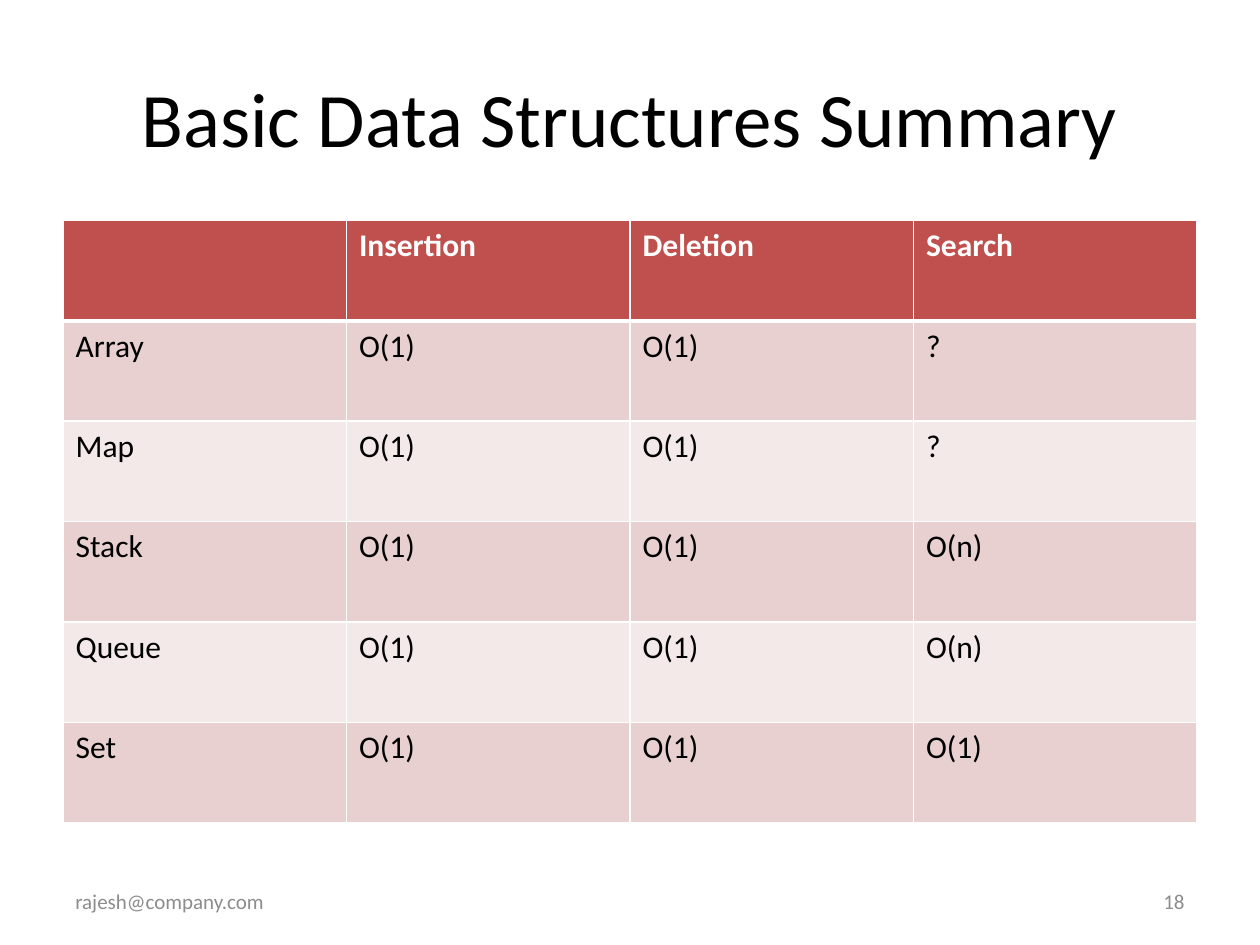
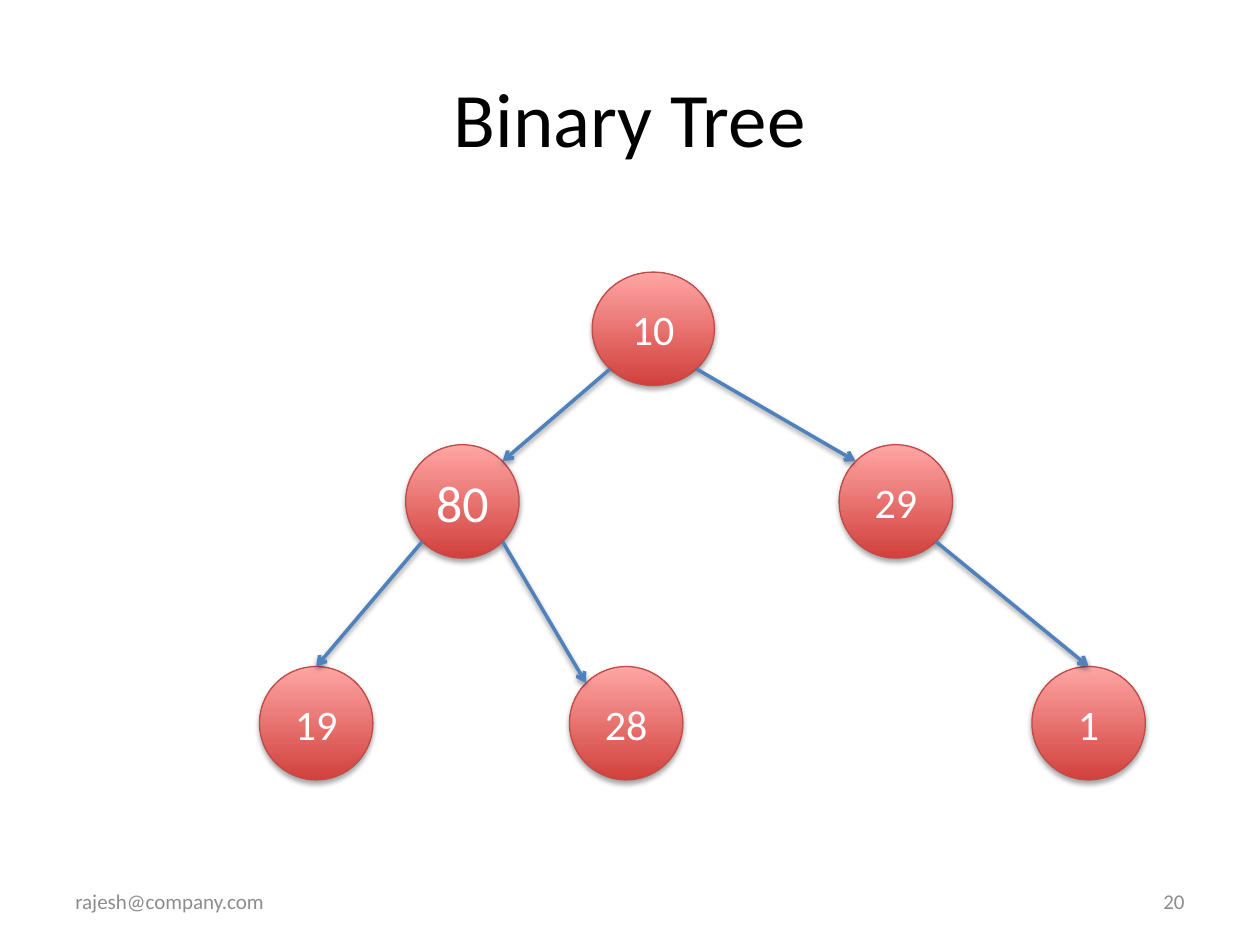
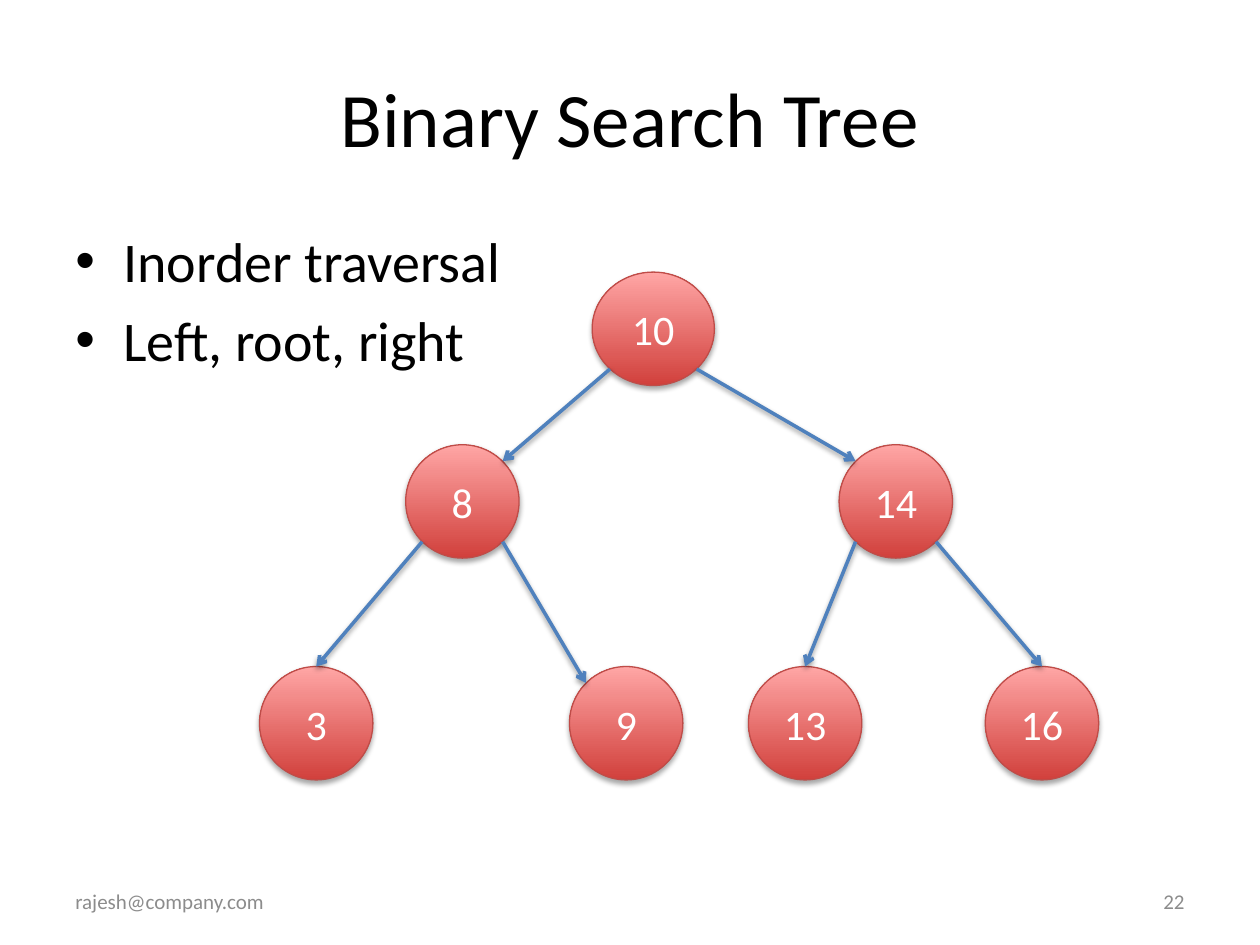
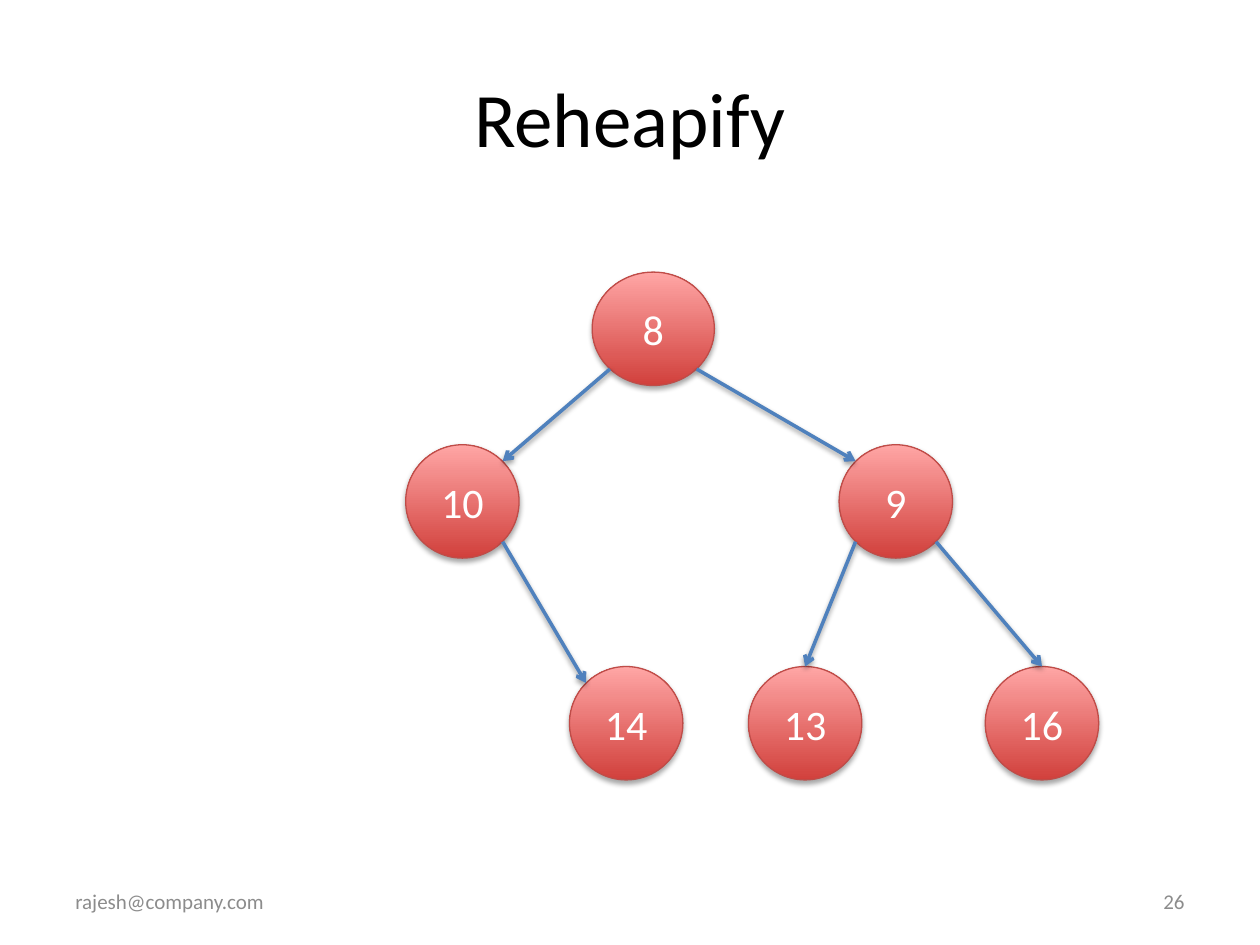
from lxml import etree
from pptx import Presentation
from pptx import util as u
from pptx.dml import color
from pptx.enum import shapes, text
from pptx.oxml import ns

# Shared look
FONT = "Calibri"
BLACK, WHITE, GREY = "000000", "FFFFFF", "8C8C8C"
HEADER_RED, BAND_DARK, BAND_LIGHT = "C0504D", "E8D0D0", "F4E9E9"
NODE_DARK, NODE_LIGHT, NODE_EDGE = "D1403C", "FFA6A5", "BF4C48"
ARROW_BLUE = "4F81BD"
EMAIL = "rajesh@company.com"
LEFT, CENTER, RIGHT = (text.PP_ALIGN.LEFT, text.PP_ALIGN.CENTER,
                       text.PP_ALIGN.RIGHT)

# Table content
COMPLEXITY = [
    ["", "Insertion", "Deletion", "Search"],
    ["Array", "O(1)", "O(1)", "?"],
    ["Map", "O(1)", "O(1)", "?"],
    ["Stack", "O(1)", "O(1)", "O(n)"],
    ["Queue", "O(1)", "O(1)", "O(n)"],
    ["Set", "O(1)", "O(1)", "O(1)"],
]

# Tree positions: left, top, width of each node
NODE_HEIGHT = 0.9
SPOTS = {
    "root": (4.7, 2.16, 0.97),
    "left": (3.22, 3.53, 0.9),
    "right": (6.66, 3.53, 0.9),
    "left-left": (2.06, 5.29, 0.9),
    "left-right": (4.52, 5.29, 0.9),
    "right-left": (5.94, 5.29, 0.9),
    "right-right": (7.82, 5.29, 0.9),
    "far right": (8.19, 5.29, 0.9),
}
# Points on a node's rim, as fractions of its radii
DIAGONAL = 0.71
TOP = (0, -1)
TOP_LEFT, TOP_RIGHT = (-DIAGONAL, -DIAGONAL), (DIAGONAL, -DIAGONAL)
BOTTOM_LEFT, BOTTOM_RIGHT = (-DIAGONAL, DIAGONAL), (DIAGONAL, DIAGONAL)
# Child: parent, where the arrow leaves, where it arrives
BRANCHES = {
    "left": ("root", BOTTOM_LEFT, TOP_RIGHT),
    "right": ("root", BOTTOM_RIGHT, TOP_LEFT),
    "left-left": ("left", BOTTOM_LEFT, TOP),
    "left-right": ("left", BOTTOM_RIGHT, TOP_LEFT),
    "right-left": ("right", BOTTOM_LEFT, TOP),
    "right-right": ("right", BOTTOM_RIGHT, TOP),
    "far right": ("right", BOTTOM_RIGHT, TOP),
}


def rgb(value):
    return color.RGBColor.from_string(value)


def add_xml(parent, tag, **attributes):
    return etree.SubElement(parent, ns.qn(tag), attributes)


def write(frame, words, size=18, ink=BLACK, bold=False, align=LEFT,
          anchor=text.MSO_ANCHOR.MIDDLE, wrap=True, bullet=False):
    """Fill a text frame, one paragraph for each line of words."""
    frame.word_wrap = wrap
    frame.vertical_anchor = anchor
    for index, line in enumerate(words.split("\n")):
        paragraph = frame.add_paragraph() if index else frame.paragraphs[0]
        paragraph.alignment = align
        run = paragraph.add_run()
        run.text = line
        run.font.name = FONT
        run.font.size = u.Pt(size)
        run.font.bold = bold
        run.font.color.rgb = rgb(ink)
        if bullet:
            if index:
                paragraph.space_before = u.Pt(size * 0.2)
            properties = paragraph._p.get_or_add_pPr()
            properties.set("marL", str(u.Inches(0.38)))
            properties.set("indent", str(u.Inches(-0.38)))
            add_xml(properties, "a:buFont", typeface="Arial")
            add_xml(properties, "a:buChar", char="•")


def add_text(slide, words, left, top, width, height, **style):
    box = slide.shapes.add_textbox(*map(u.Inches, (left, top, width, height)))
    write(box.text_frame, words, **style)


def add_shadow(shape, opacity, distance):
    effects = add_xml(shape.element.spPr, "a:effectLst")
    shadow = add_xml(effects, "a:outerShdw", blurRad=str(u.Pt(3.1)),
                     dist=str(u.Pt(distance)), dir="5400000",
                     rotWithShape="0")
    ink = add_xml(shadow, "a:srgbClr", val=BLACK)
    add_xml(ink, "a:alpha", val=str(opacity * 1000))


def add_page(deck, title, number):
    """Blank slide with the shared title and footer."""
    slide = deck.slides.add_slide(deck.slide_layouts[6])
    add_text(slide, title, 0.5, 0.3, 9, 1.25, size=44, align=CENTER)
    add_text(slide, EMAIL, 0.5, 6.95, 2.33, 0.4, size=12, ink=GREY)
    add_text(slide, str(number), 7.17, 6.95, 2.33, 0.4, size=12, ink=GREY,
             align=RIGHT)
    return slide


def add_borders(cell, **widths):
    for side in "LRTB":
        edge = add_xml(cell._tc.get_or_add_tcPr(), f"a:ln{side}",
                       w=str(u.Pt(widths.get(side, 1))))
        add_xml(add_xml(edge, "a:solidFill"), "a:srgbClr", val=WHITE)


def add_complexity_table(slide, rows):
    table = slide.shapes.add_table(
        len(rows), len(rows[0]),
        *map(u.Inches, (0.5, 1.75, 9, 4.78))).table
    for r, row in enumerate(rows):
        header = r == 0
        band = HEADER_RED if header else BAND_DARK if r % 2 else BAND_LIGHT
        # The rule under the header is thicker
        thick = {"B": 3} if header else {"T": 3} if r == 1 else {}
        for c, words in enumerate(row):
            cell = table.cell(r, c)
            add_borders(cell, **thick)
            cell.fill.solid()
            cell.fill.fore_color.rgb = rgb(band)
            cell.vertical_anchor = text.MSO_ANCHOR.TOP
            if words:
                write(cell.text_frame, words, bold=header,
                      ink=WHITE if header else BLACK,
                      anchor=text.MSO_ANCHOR.TOP)


def add_node(slide, spot, value, size=24):
    left, top, width = SPOTS[spot]
    node = slide.shapes.add_shape(
        shapes.MSO_SHAPE.OVAL,
        *map(u.Inches, (left, top, width, NODE_HEIGHT)))
    node.fill.gradient()
    node.fill.gradient_angle = 90
    for stop, shade in zip(node.fill.gradient_stops, (NODE_DARK, NODE_LIGHT)):
        stop.color.rgb = rgb(shade)
    node.line.color.rgb = rgb(NODE_EDGE)
    node.line.width = u.Pt(0.75)
    add_shadow(node, 35, 1.8)
    write(node.text_frame, str(value), size=size, ink=WHITE, align=CENTER,
          wrap=False)


def rim_point(spot, direction):
    left, top, width = SPOTS[spot]
    across, down = direction
    return (u.Inches(left + width / 2 * (1 + across)),
            u.Inches(top + NODE_HEIGHT / 2 * (1 + down)))


def add_branch(slide, child):
    parent, leaves, arrives = BRANCHES[child]
    arrow = slide.shapes.add_connector(
        shapes.MSO_CONNECTOR.STRAIGHT,
        *rim_point(parent, leaves), *rim_point(child, arrives))
    arrow.line.color.rgb = rgb(ARROW_BLUE)
    arrow.line.width = u.Pt(2)
    add_xml(arrow.element.spPr.find(ns.qn("a:ln")), "a:tailEnd", type="arrow")
    add_shadow(arrow, 38, 1.6)


def add_tree(slide, values, sizes=None):
    """Draw the nodes, then an arrow to each from its parent."""
    for spot, value in values.items():
        add_node(slide, spot, value, (sizes or {}).get(spot, 24))
    for spot in values:
        if spot in BRANCHES:
            add_branch(slide, spot)


def main():
    deck = Presentation()
    deck.slide_width, deck.slide_height = u.Inches(10), u.Inches(7.5)

    # Summary table
    summary = add_page(deck, "Basic Data Structures Summary", 18)
    add_complexity_table(summary, COMPLEXITY)

    # Binary tree
    binary = add_page(deck, "Binary Tree", 20)
    add_tree(binary, {"left": 80, "root": 10, "right": 29, "left-left": 19,
                      "left-right": 28, "far right": 1},
             sizes={"left": 29.6})

    # Binary search tree
    search = add_page(deck, "Binary Search Tree", 22)
    add_text(search, "Inorder traversal\nLeft, root, right",
             0.5, 1.75, 9, 4.95, size=32, bullet=True,
             anchor=text.MSO_ANCHOR.TOP)
    add_tree(search, {"root": 10, "left": 8, "right": 14, "left-left": 3,
                      "left-right": 9, "right-left": 13, "right-right": 16})

    # Heap after removal
    heap = add_page(deck, "Reheapify", 26)
    add_tree(heap, {"root": 8, "left": 10, "right": 9, "left-right": 14,
                    "right-left": 13, "right-right": 16})

    deck.save("out.pptx")


if __name__ == "__main__":
    main()
